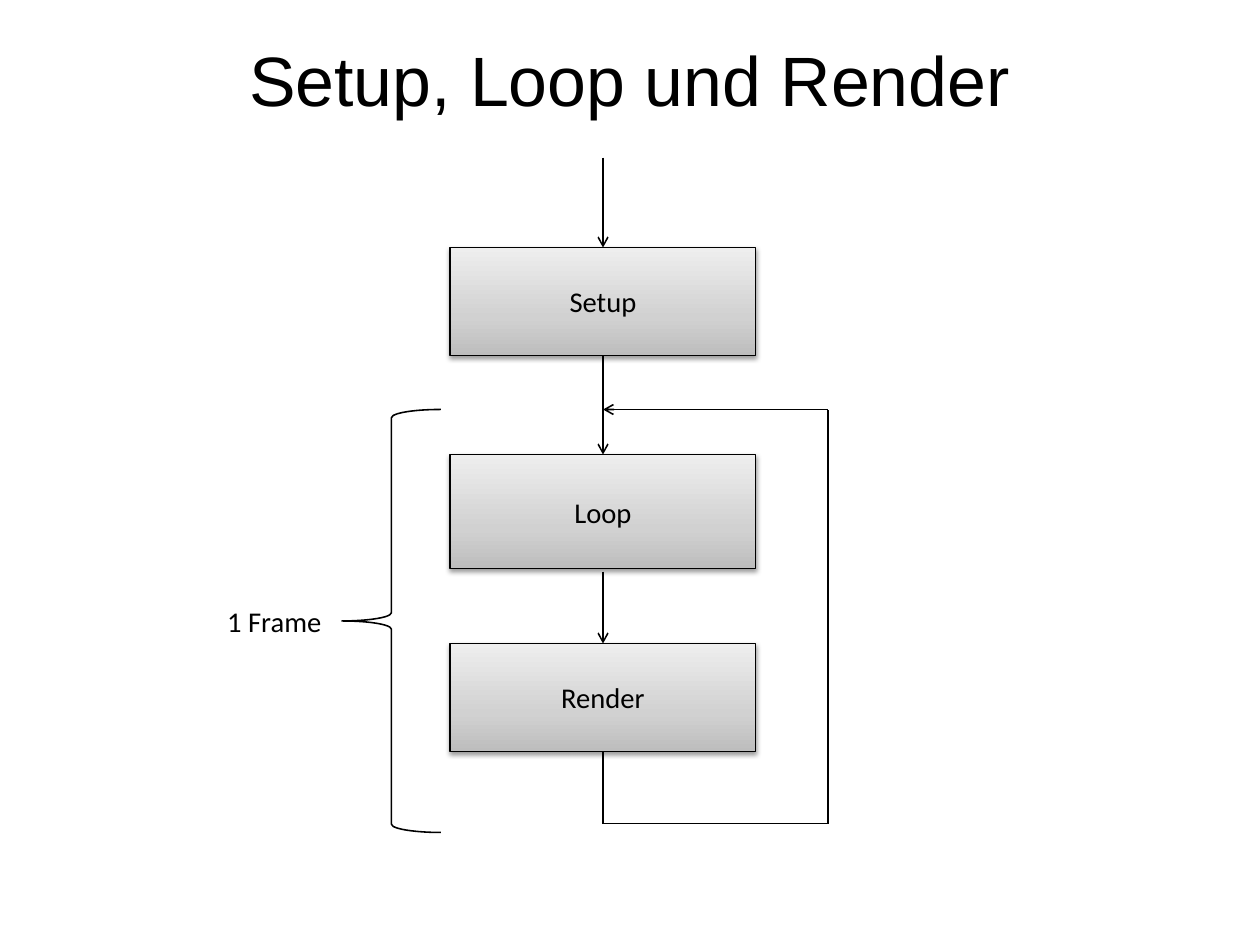
"""Build the slide that shows the setup, loop and render flow."""
from pptx import Presentation
from pptx.dml.color import RGBColor
from pptx.enum.shapes import MSO_CONNECTOR, MSO_SHAPE
from pptx.enum.text import MSO_ANCHOR, PP_ALIGN
from pptx.oxml import parse_xml
from pptx.oxml.ns import nsdecls
from pptx.util import Cm, Pt

BLACK = RGBColor(0, 0, 0)
DARK = RGBColor(0xBD, 0xBD, 0xBD)
MID = RGBColor(0xD1, 0xD1, 0xD1)
LIGHT = RGBColor(0xEE, 0xEE, 0xEE)
STOPS = [(0, DARK), (35, MID), (100, LIGHT)]

LEFT, WIDTH = 10, 6.8
MIDDLE = LEFT + WIDTH / 2
BACK = 18.4
ENTRY, TURN = 9.1, 18.3
BOXES = [("Setup", 5.5, 2.4), ("Loop", 10.1, 2.54), ("Render", 14.3, 2.4)]
ARROWS = [(3.5, 5.5), (7.9, 10.1), (12.7, 14.3)]
RETURN = [(MIDDLE, 16.7), (MIDDLE, TURN), (BACK, TURN), (BACK, ENTRY), (MIDDLE, ENTRY)]


def write(frame, text, size, font, align):
    """Put one formatted paragraph into a text frame."""
    frame.text = text
    par = frame.paragraphs[0]
    par.alignment = align
    par.font.size = Pt(size)
    par.font.name = font
    par.font.color.rgb = BLACK


def stroke(line, width):
    """Draw a black line of the given width."""
    line.color.rgb = BLACK
    line.width = Pt(width)


def add_title(slide, text):
    """Move and fill the title placeholder."""
    title = slide.shapes.title
    title.left, title.top = Cm(1.4), Cm(0)
    title.width, title.height = Cm(25.2), Cm(3.5)
    frame = title.text_frame
    frame.margin_left = frame.margin_right = 0
    frame.margin_top = frame.margin_bottom = 0
    frame.vertical_anchor = MSO_ANCHOR.MIDDLE
    write(frame, text, 44, "Arial", PP_ALIGN.CENTER)


def add_box(slide, text, top, height):
    """Add a grey gradient box with a soft shadow."""
    box = slide.shapes.add_shape(
        MSO_SHAPE.RECTANGLE, Cm(LEFT), Cm(top), Cm(WIDTH), Cm(height))
    stroke(box.line, 0.75)
    stops = "".join(
        f'<a:gs pos="{pos * 1000}"><a:srgbClr val="{color}"/></a:gs>'
        for pos, color in STOPS)
    line = box.line._get_or_add_ln()
    line.addprevious(parse_xml(
        f'<a:gradFill {nsdecls("a")} rotWithShape="1"><a:gsLst>{stops}</a:gsLst>'
        '<a:lin ang="16200000" scaled="0"/></a:gradFill>'))
    line.addnext(parse_xml(
        f'<a:effectLst {nsdecls("a")}><a:outerShdw blurRad="{Pt(3.1)}" '
        f'dist="{Pt(1.6)}" dir="5400000" rotWithShape="0"><a:srgbClr val="{BLACK}">'
        '<a:alpha val="38000"/></a:srgbClr></a:outerShdw></a:effectLst>'))
    box.text_frame.vertical_anchor = MSO_ANCHOR.MIDDLE
    write(box.text_frame, text, 18, "Calibri", PP_ALIGN.CENTER)


def add_line(slide, start, end, arrow):
    """Add a straight line, with an open arrowhead if wanted."""
    points = [Cm(value) for value in (*start, *end)]
    link = slide.shapes.add_connector(MSO_CONNECTOR.STRAIGHT, *points)
    stroke(link.line, 1)
    line = link.line._get_or_add_ln()
    if arrow:
        line.append(parse_xml(f'<a:tailEnd {nsdecls("a")} type="arrow"/>'))
    line.addnext(parse_xml(f'<a:effectLst {nsdecls("a")}/>'))


def add_brace(slide):
    """Add the brace that spans one frame."""
    brace = slide.shapes.add_shape(
        MSO_SHAPE.LEFT_BRACE, Cm(7.6), Cm(ENTRY), Cm(2.2), Cm(9.4))
    brace.shadow.inherit = False
    brace.fill.background()
    stroke(brace.line, 1)


def add_label(slide, text):
    """Add the label beside the brace."""
    label = slide.shapes.add_textbox(Cm(4.8), Cm(13.3), Cm(2.62), Cm(1.03))
    label.text_frame.word_wrap = False
    write(label.text_frame, text, 18, "Calibri", PP_ALIGN.LEFT)


def main():
    """Build and save the slide."""
    deck = Presentation()
    deck.slide_width, deck.slide_height = Cm(28), Cm(21)
    slide = deck.slides.add_slide(deck.slide_layouts[5])
    add_title(slide, "Setup, Loop und Render")
    for text, top, height in BOXES:
        add_box(slide, text, top, height)
    for top, tip in ARROWS:
        add_line(slide, (MIDDLE, top), (MIDDLE, tip), True)
    for start, end in zip(RETURN, RETURN[1:]):
        add_line(slide, start, end, end == RETURN[-1])
    add_brace(slide)
    add_label(slide, "1 Frame")
    deck.save("out.pptx")


if __name__ == "__main__":
    main()
